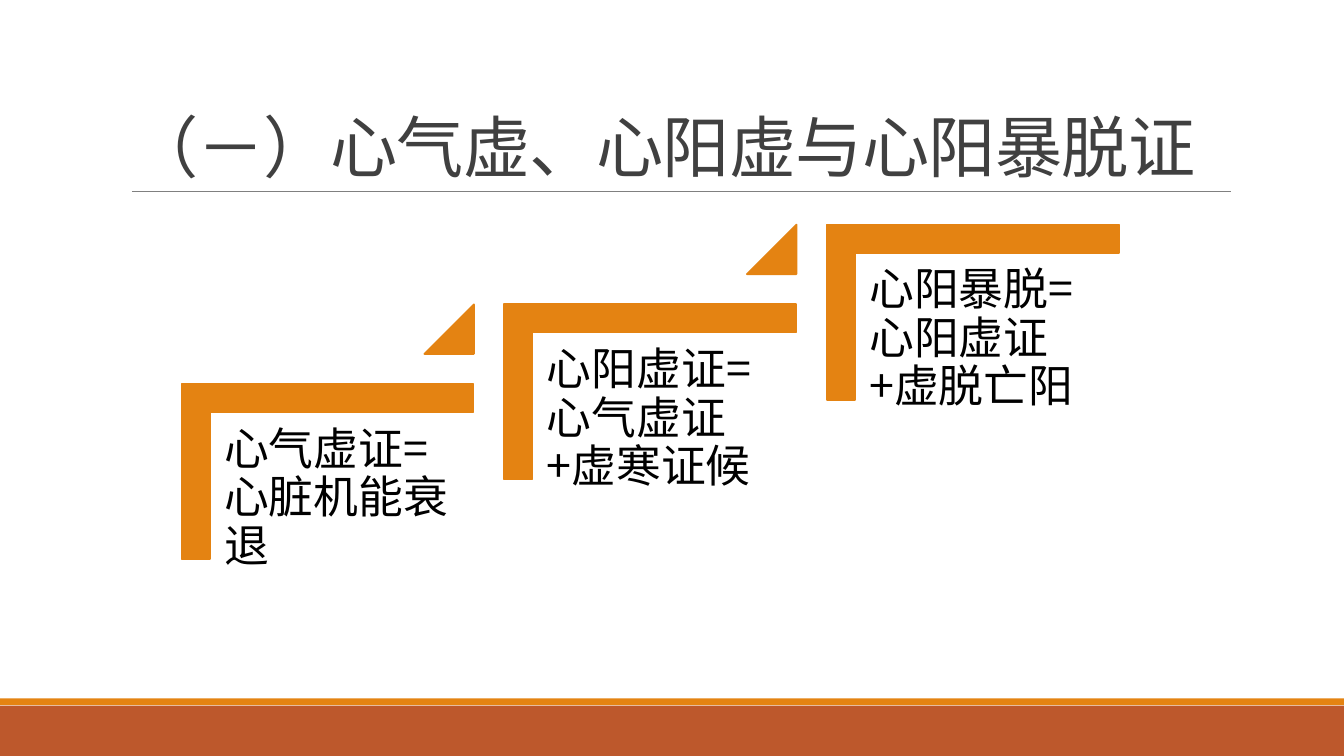
import pptx
import pptx.dml.color
import pptx.enum.shapes
import pptx.enum.text
import pptx.oxml
import pptx.oxml.ns
import pptx.util

Pt = pptx.util.Pt
SHAPE = pptx.enum.shapes.MSO_SHAPE
ANCHOR = pptx.enum.text.MSO_ANCHOR
FONT = "Noto Sans CJK SC"
COLORS = {
    "orange": "E48312",
    "rust": "BD582C",
    "rule": "808080",
    "title": "404040",
    "text": "000000",
}
SLIDE_WIDTH, SLIDE_HEIGHT = 960, 540
STEPS = [
    ["心气虚证", "=", "心脏机能衰退"],
    ["心阳虚证", "=", "心气虚证", "+", "虚寒证候"],
    ["心阳暴脱", "=", "心阳虚证", "+", "虚脱亡阳"],
]
# Each step lies to the right of and above the one before
STEP_RIGHT, STEP_UP = 230.4, 57


def rgb(name):
    return pptx.dml.color.RGBColor.from_string(COLORS[name])


def add_run(paragraph, text, size, color):
    run = paragraph.add_run()
    run.text = text
    run.font.size = Pt(size)
    run.font.name = FONT
    run.font.color.rgb = rgb(color)
    properties = run.font._element
    properties.set("lang", "zh-CN")
    east_asian = pptx.oxml.parse_xml(
        f'<a:ea {pptx.oxml.ns.nsdecls("a")} typeface="{FONT}"/>')
    properties.find(pptx.oxml.ns.qn("a:latin")).addnext(east_asian)
    return run


def add_block(slide, kind, left, top, width, height, color, outline=0):
    block = slide.shapes.add_shape(kind, Pt(left), Pt(top), Pt(width), Pt(height))
    block.shadow.inherit = False
    block.fill.solid()
    block.fill.fore_color.rgb = rgb(color)
    if outline:
        block.line.color.rgb = rgb(color)
        block.line.width = Pt(outline)
    else:
        block.line.fill.background()
    return block


def add_rule(slide, left, right, top):
    rule = slide.shapes.add_connector(
        pptx.enum.shapes.MSO_CONNECTOR.STRAIGHT,
        Pt(left), Pt(top), Pt(right), Pt(top))
    rule.line.color.rgb = rgb("rule")
    rule.line.width = Pt(0.5)
    rule._element.spPr.append(pptx.oxml.parse_xml(
        f'<a:effectLst {pptx.oxml.ns.nsdecls("a")}/>'))


def set_title(slide, text):
    title = slide.shapes.title
    title.left, title.top = Pt(86.4), Pt(22.3)
    title.width, title.height = Pt(792), Pt(114.5)
    frame = title.text_frame
    frame.auto_size = pptx.enum.text.MSO_AUTO_SIZE.NONE
    frame.vertical_anchor = ANCHOR.BOTTOM
    heading = frame.paragraphs[0]
    heading.alignment = pptx.enum.text.PP_ALIGN.LEFT
    heading.line_spacing = 0.85
    run = add_run(heading, text, 48, "title")
    run.font._element.set("spc", "-50")


def add_step_text(slide, parts, left, top):
    label = slide.shapes.add_textbox(Pt(left), Pt(top), Pt(188), Pt(165))
    frame = label.text_frame
    frame.word_wrap = True
    frame.vertical_anchor = ANCHOR.TOP
    frame.margin_left = frame.margin_right = Pt(9.6)
    frame.margin_top = frame.margin_bottom = Pt(9.6)
    formula = frame.paragraphs[0]
    formula.alignment = pptx.enum.text.PP_ALIGN.LEFT
    formula.line_spacing = 0.9
    add_run(formula, "".join(parts), 32, "text")


def add_step(slide, index, parts):
    left = 150.5 + index * STEP_RIGHT
    top = 295.2 - index * STEP_UP
    bracket = add_block(slide, SHAPE.CORNER, left + 20.9, top - 62.6,
                        125.2, 208.6, "orange", 1.25)
    bracket.rotation = 90
    bracket.adjustments[0] = bracket.adjustments[1] = 0.161
    add_step_text(slide, parts, left, top)
    if index < len(STEPS) - 1:
        rise = add_block(slide, SHAPE.ISOSCELES_TRIANGLE, left + 152.6,
                         top - 77.8, 35.4, 35.4, "orange", 1.25)
        rise.adjustments[0] = 1


def main():
    deck = pptx.Presentation()
    deck.slide_width, deck.slide_height = Pt(SLIDE_WIDTH), Pt(SLIDE_HEIGHT)
    slide = deck.slides.add_slide(deck.slide_layouts[5])

    # Footer bands and title rule
    add_block(slide, SHAPE.RECTANGLE, 0, 504, SLIDE_WIDTH, 36, "rust")
    add_block(slide, SHAPE.RECTANGLE, 0, 498.8, SLIDE_WIDTH, 5, "orange")
    add_rule(slide, 94.3, 879, 136.8)

    set_title(slide, "（－）心气虚、心阳虚与心阳暴脱证")

    # Rising steps
    for index, parts in enumerate(STEPS):
        add_step(slide, index, parts)

    deck.save("out.pptx")


if __name__ == "__main__":
    main()
